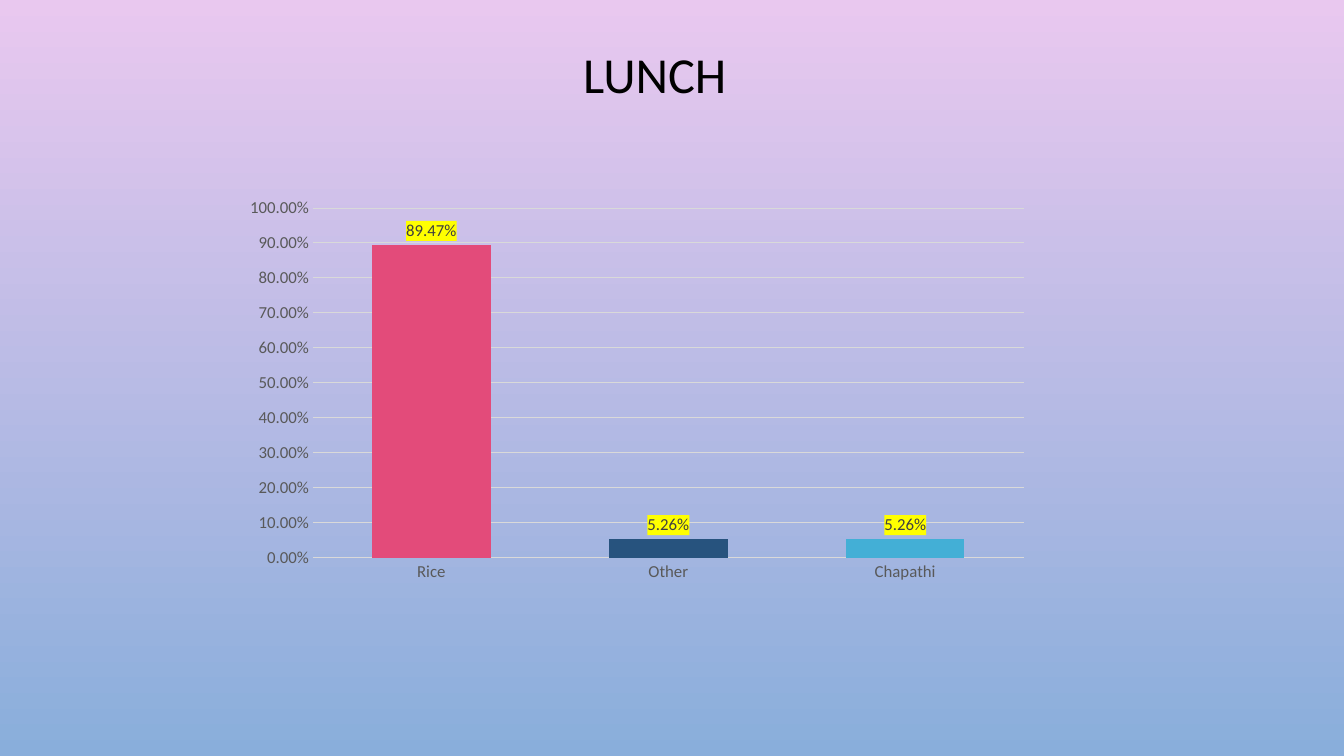
from lxml import etree
from pptx import Presentation
from pptx.chart.data import CategoryChartData
from pptx.dml.color import RGBColor
from pptx.enum import chart as kinds, text
from pptx.oxml import ns
from pptx.util import Inches, Pt

TITLE = "LUNCH"
MEALS = [("Rice", 0.8947, "rice"), ("Other", 0.0526, "other"), ("Chapathi", 0.0526, "chapathi")]
COLORS = {
    "sky_top": "E9C8EF", "sky_bottom": "89AEDB", "title": "000000",
    "rice": "E34B7A", "other": "27537E", "chapathi": "43AFD6",
    "axis": "595959", "grid": "D9D9D9", "label": "404040", "highlight": "FFFF00",
}
FONT = "Calibri"
PERCENT = "0.00%"
TITLE_BOX = (0.66, 0.23, 11.67, 1.07)
CHART_BOX = (2.17, 1.75, 7.99, 4.08)
PLOT_AREA = {"x": 0.117, "y": 0.077, "w": 0.883, "h": 0.85}


def color(name):
    """Return the named colour."""
    return RGBColor.from_string(COLORS[name])


def set_font(font, size, name):
    """Apply the shared typeface with a size and a named colour."""
    font.name, font.size, font.bold = FONT, Pt(size), False
    font.color.rgb = color(name)


def paint_background(page):
    """Fill the page with a vertical gradient."""
    fill = page.background.fill
    fill.gradient()
    fill.gradient_angle = 270
    for stop, name in zip(fill.gradient_stops, ("sky_top", "sky_bottom")):
        stop.color.rgb = color(name)


def add_title(page):
    """Place and format the title."""
    box = page.shapes.title
    box.left, box.top, box.width, box.height = map(Inches, TITLE_BOX)
    box.text_frame.text = TITLE
    box.text_frame.vertical_anchor = text.MSO_ANCHOR.MIDDLE
    para = box.text_frame.paragraphs[0]
    para.alignment = text.PP_ALIGN.CENTER
    para.line_spacing = 0.9
    set_font(para.font, 36, "title")


def fix_plot_area(chart):
    """Pin the inner plot area to fractions of the chart."""
    area = chart._chartSpace.find(".//" + ns.qn("c:plotArea"))
    for old in area.findall(ns.qn("c:layout")):
        area.remove(old)
    layout = etree.Element(ns.qn("c:layout"))
    manual = etree.SubElement(layout, ns.qn("c:manualLayout"))
    settings = {"layoutTarget": "inner", "xMode": "edge", "yMode": "edge", **PLOT_AREA}
    for tag, value in settings.items():
        etree.SubElement(manual, ns.qn("c:" + tag)).set("val", str(value))
    area.insert(0, layout)


def format_axes(chart):
    """Style both axes and the gridlines."""
    for axis in (chart.category_axis, chart.value_axis):
        axis.major_tick_mark = axis.minor_tick_mark = kinds.XL_TICK_MARK.NONE
        set_font(axis.tick_labels.font, 12, "axis")
    chart.category_axis.format.line.color.rgb = color("grid")
    chart.category_axis.format.line.width = Pt(1)
    values = chart.value_axis
    values.minimum_scale, values.maximum_scale, values.major_unit = 0, 1, 0.1
    values.tick_labels.number_format = PERCENT
    values.tick_labels.number_format_is_linked = False
    values.format.line.fill.background()
    values.has_major_gridlines = True
    values.major_gridlines.format.line.color.rgb = color("grid")
    values.major_gridlines.format.line.width = Pt(0.75)


def add_labels(series):
    """Show highlighted values above the bars."""
    labels = series.data_labels
    labels.show_value = True
    labels.number_format = PERCENT
    labels.number_format_is_linked = False
    labels.position = kinds.XL_LABEL_POSITION.OUTSIDE_END
    set_font(labels.font, 12, "label")
    shape = etree.Element(ns.qn("c:spPr"))
    fill = etree.SubElement(shape, ns.qn("a:solidFill"))
    etree.SubElement(fill, ns.qn("a:srgbClr")).set("val", COLORS["highlight"])
    labels._element.find(ns.qn("c:numFmt")).addnext(shape)


def add_meal_chart(page):
    """Draw one coloured column per meal."""
    data = CategoryChartData(number_format=PERCENT)
    data.categories = [meal for meal, _, _ in MEALS]
    data.add_series("Series 1", [share for _, share, _ in MEALS])
    chart = page.shapes.add_chart(
        kinds.XL_CHART_TYPE.COLUMN_CLUSTERED, *map(Inches, CHART_BOX), data).chart
    chart.has_title = chart.has_legend = False
    set_font(chart.font, 10, "title")
    plot = chart.plots[0]
    plot.gap_width, plot.overlap, plot.vary_by_categories = 100, -24, False
    series = plot.series[0]
    for index, (_, _, name) in enumerate(MEALS):
        fill = series.points[index].format.fill
        fill.solid()
        fill.fore_color.rgb = color(name)
    add_labels(series)
    format_axes(chart)
    fix_plot_area(chart)


deck = Presentation()
deck.slide_width, deck.slide_height = Inches(13.33), Inches(7.5)
page = deck.slides.add_slide(deck.slide_layouts[5])
paint_background(page)
add_title(page)
add_meal_chart(page)
deck.save("out.pptx")
